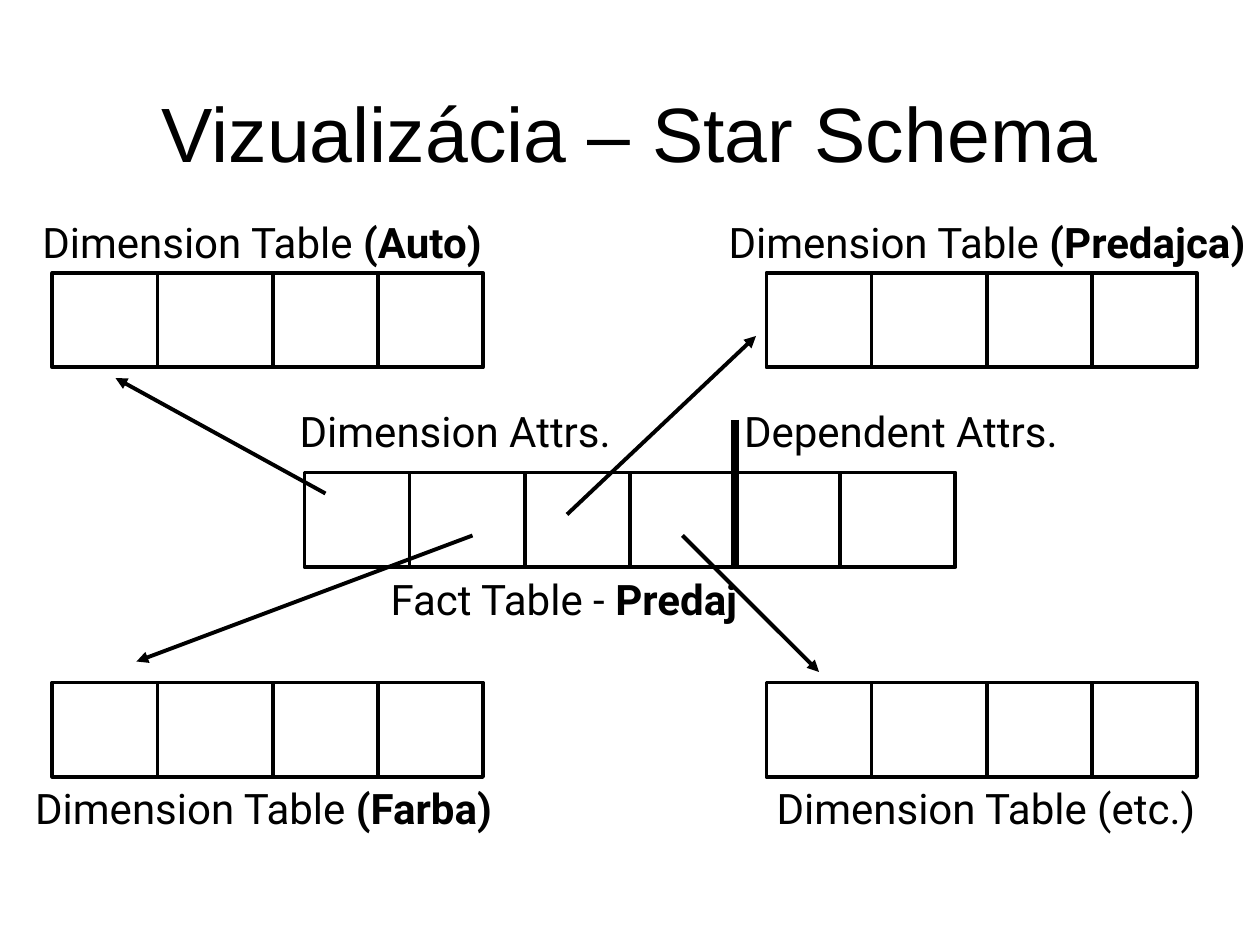
from lxml.etree import SubElement
from pptx import Presentation
from pptx.dml.color import RGBColor
from pptx.enum.shapes import MSO_CONNECTOR, MSO_SHAPE
from pptx.enum.text import MSO_ANCHOR, MSO_AUTO_SIZE, PP_ALIGN
from pptx.oxml.ns import qn
from pptx.util import Pt

PX = 7620  # 120 px to the inch
INK = "000000"


def paint(color, code):
    color.rgb = RGBColor.from_string(code)


def draw(x1, y1, x2, y2, width=2.25, arrow=False):
    ends = [v * PX for v in (x1, y1, x2, y2)]
    rule = shapes.add_connector(MSO_CONNECTOR.STRAIGHT, *ends)
    rule.line.width = Pt(width)
    paint(rule.line.color, INK)
    if arrow:
        SubElement(rule.line._get_or_add_ln(), qn("a:tailEnd"), type="triangle")
    SubElement(rule._element.spPr, qn("a:effectLst"))


deck = Presentation()
deck.slide_width, deck.slide_height = 1200 * PX, 900 * PX
slide = deck.slides.add_slide(deck.slide_layouts[5])
shapes = slide.shapes

# Title
title = shapes.title
place = {"left": 90, "top": 50, "width": 1020, "height": 150}
for key, val in place.items():
    setattr(title, key, val * PX)
frame = title.text_frame
frame.text = "Vizualizácia – Star Schema"
frame.vertical_anchor = MSO_ANCHOR.MIDDLE
para = frame.paragraphs[0]
para.alignment = PP_ALIGN.CENTER
font = para.runs[0].font
for key, val in {"name": "Arial", "size": Pt(44)}.items():
    setattr(font, key, val)
paint(font.color, INK)

# Tables: left, top, width, cell borders measured from the left
high = 90
cuts = [100, 210, 310]
grids = [(290, 450, 620, cuts + [510])]
grids += [(x, y, 410, cuts) for x in (50, 730) for y in (260, 650)]
for x, y, wide, marks in grids:
    box = shapes.add_shape(MSO_SHAPE.RECTANGLE, x * PX, y * PX, wide * PX, high * PX)
    box.shadow.inherit = False
    box.fill.background()
    box.line.width = Pt(2.25)
    paint(box.line.color, INK)
    for mark in marks:
        draw(x + mark, y, x + mark, y + high)

# Bar between dimension and dependent attributes
draw(700, 400, 700, 540, width=4.5)

# Arrows from the fact table to the dimension tables
arrows = [
    (310, 470, 110, 360),
    (450, 510, 130, 630),
    (540, 490, 720, 320),
    (650, 510, 780, 640),
]
for ends in arrows:
    draw(*ends, arrow=True)

# Labels: left, top, width, plain text, bold text
labels = [
    (6, 739, 490, "Dimension Table ", "(Farba)"),
    (719, 739, 440, "Dimension Table (etc.)", ""),
    (665, 200, 550, "Dimension Table ", "(Predajca)"),
    (13, 200, 473, "Dimension Table ", "(Auto)"),
    (349, 540, 376, "Fact Table - ", "Predaj"),
    (265, 380, 337, "Dimension Attrs.", ""),
    (686, 380, 344, "Dependent Attrs.", ""),
]
for x, y, wide, plain, strong in labels:
    frame = shapes.add_textbox(x * PX, y * PX, wide * PX, 60 * PX).text_frame
    frame.word_wrap = False
    frame.auto_size = MSO_AUTO_SIZE.SHAPE_TO_FIT_TEXT
    para = frame.paragraphs[0]
    para.alignment = PP_ALIGN.CENTER
    for text, bold in ((plain, False), (strong, True)):
        if text:
            run = para.add_run()
            run.text = text
            look = {"name": "Roboto", "size": Pt(24), "bold": bold}
            for key, val in look.items():
                setattr(run.font, key, val)
            paint(run.font.color, INK)

deck.save("out.pptx")
